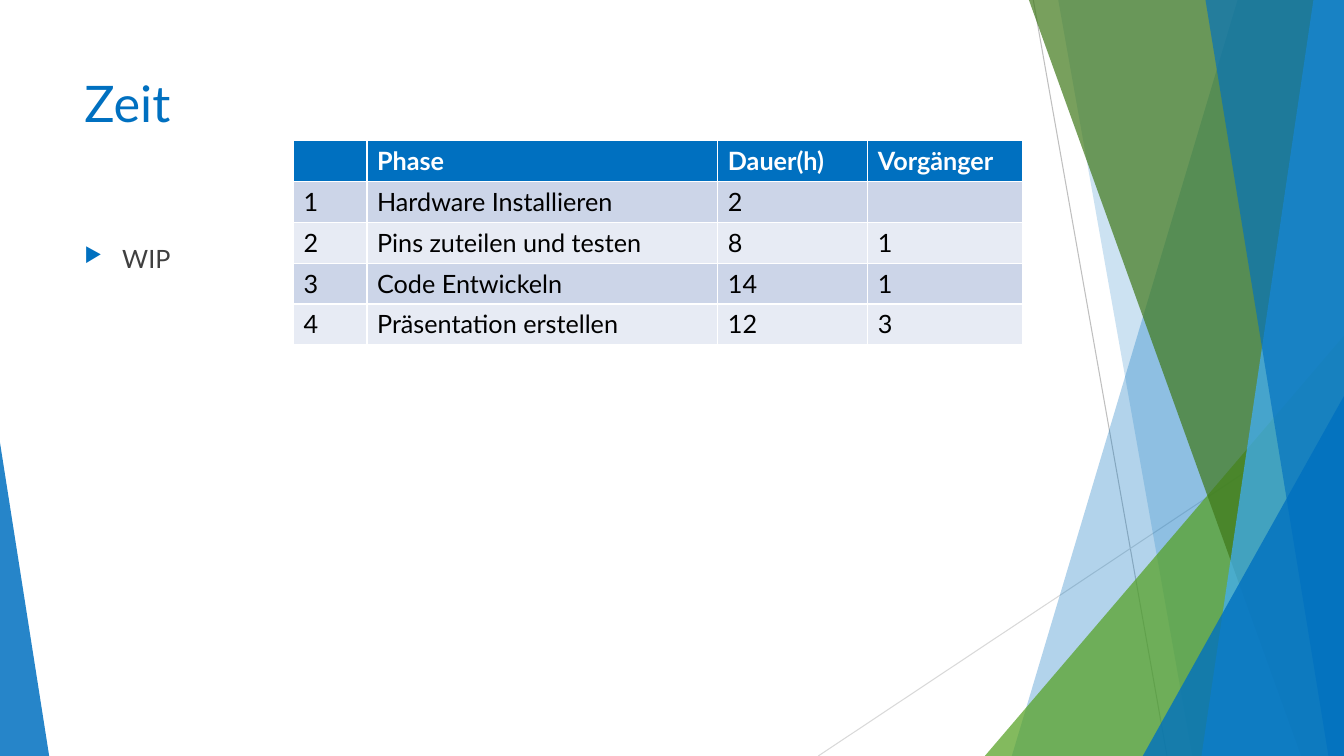
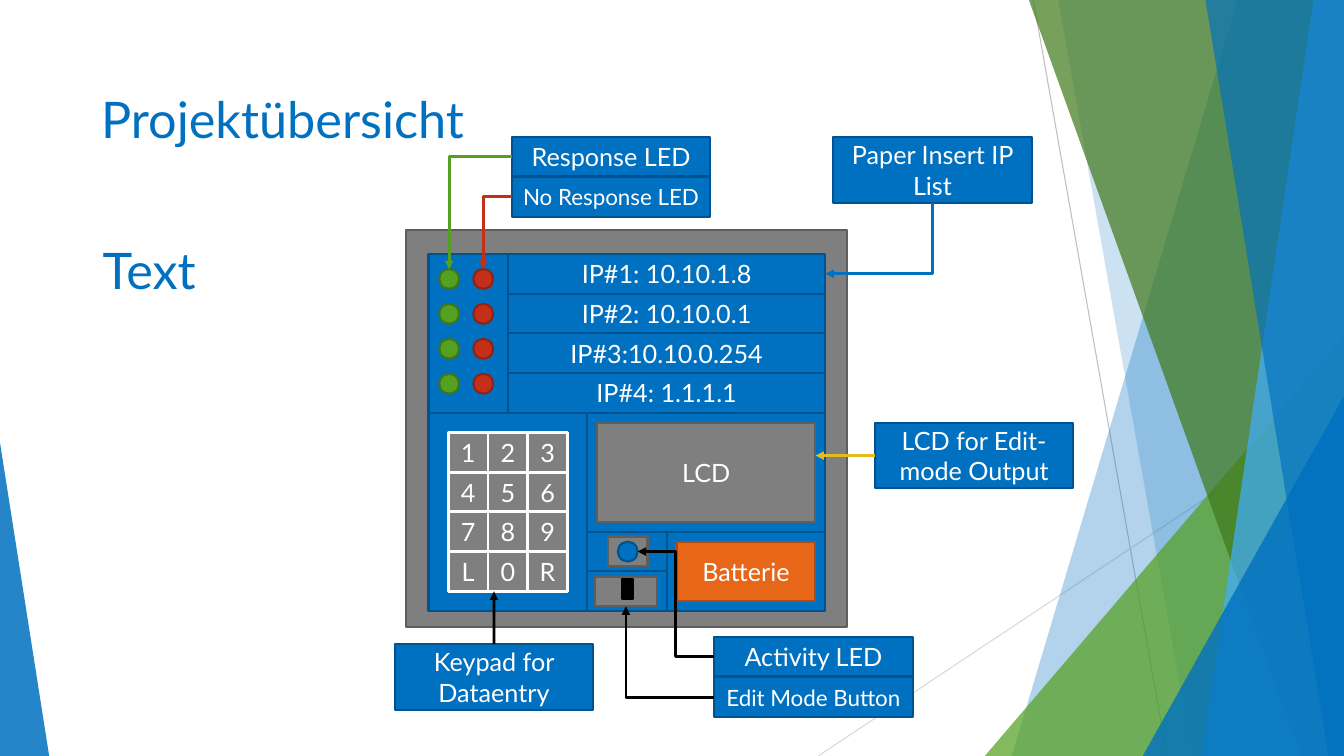
import dataclasses

import lxml.etree
import pptx
import pptx.dml.color
import pptx.enum.shapes
import pptx.enum.text
import pptx.oxml.ns
import pptx.util

Cm = pptx.util.Cm
Pt = pptx.util.Pt
qn = pptx.oxml.ns.qn
RGB = pptx.dml.color.RGBColor.from_string
SHAPE = pptx.enum.shapes.MSO_SHAPE
CONNECTOR = pptx.enum.shapes.MSO_CONNECTOR
ALIGN = pptx.enum.text.PP_ALIGN
ANCHOR = pptx.enum.text.MSO_ANCHOR


@dataclasses.dataclass(frozen=True)
class Theme:
    font: str = "Lato"
    title_size: int = 36
    text_size: int = 18
    small_size: int = 16
    outline: float = 1.5
    thick: float = 2
    blue: str = "0070C0"
    blue_edge: str = "00538E"
    sky: str = "40AFFF"
    green: str = "54A021"
    green_edge: str = "3E7618"
    dark_green: str = "3F7819"
    red: str = "C42F1A"
    red_edge: str = "912313"
    orange: str = "E76618"
    orange_edge: str = "AB4B12"
    yellow: str = "E6B91E"
    grey: str = "7F7F7F"
    grey_edge: str = "5E5E5E"
    hairline: str = "BFBFBF"
    pale_hairline: str = "D9D9D9"
    body: str = "404040"
    black: str = "000000"
    white: str = "FFFFFF"
    row_odd: str = "CCD5E8"
    row_even: str = "E7EBF4"


theme = Theme()
WIDTH, HEIGHT = 33.87, 19.05


def write(frame, text, size=theme.text_size, color=theme.white, bold=False,
          align=ALIGN.LEFT, anchor=ANCHOR.TOP):
    frame.word_wrap = True
    frame.vertical_anchor = anchor
    paragraph = frame.paragraphs[0]
    paragraph.alignment = align
    run = paragraph.add_run()
    run.text = text
    run.font.name = theme.font
    run.font.size = Pt(size)
    run.font.bold = bold
    run.font.color.rgb = RGB(color)


def part(left, top, width, height, text="", kind=SHAPE.RECTANGLE, fill=theme.blue,
         edge=theme.blue_edge, outline=theme.outline, size=theme.text_size):
    """Draw one filled part of the overview, with centred text if any."""
    shape = overview.shapes.add_shape(kind, Cm(left), Cm(top), Cm(width), Cm(height))
    shape.shadow.inherit = False
    shape.fill.solid()
    shape.fill.fore_color.rgb = RGB(fill)
    shape.line.color.rgb = RGB(edge)
    shape.line.width = Pt(outline)
    if text:
        write(shape.text_frame, text, size=size, align=ALIGN.CENTER, anchor=ANCHOR.MIDDLE)
    return shape


deck = pptx.Presentation()
deck.slide_width, deck.slide_height = Cm(WIDTH), Cm(HEIGHT)
blank = deck.slide_layouts[6]
schedule = deck.slides.add_slide(blank)
overview = deck.slides.add_slide(blank)

# Backdrop: drawn once, then moved to the layout that both slides share
backdrop = []
for start, end, color in [
    ((26.04, 0), (29.41, HEIGHT), theme.hairline),
    ((WIDTH, 10.24), (20.62, HEIGHT), theme.pale_hairline),
]:
    hairline = schedule.shapes.add_connector(
        CONNECTOR.STRAIGHT, *[Cm(value) for value in start + end])
    hairline.line.color.rgb = RGB(color)
    hairline.line.width = Pt(0.75)
    lxml.etree.SubElement(hairline.element.spPr, qn("a:effectLst"))
    backdrop.append(hairline)

# Bands reach the right edge: (x at top, x at bottom)
# Triangles stand on the bottom edge: (left, right, top, apex)
for outline, color, opacity in [
    ((31.19, 25.5), theme.blue, 30),
    ((26.67, 30.05), theme.blue, 20),
    ((24.82, WIDTH, 8.46, 1), theme.green, 72),
    ((25.93, 32.79), theme.dark_green, 70),
    ((33.1, 30.28), theme.sky, 70),
    ((30.38, 33.48), theme.blue, 65),
    ((28.8, WIDTH, 9.98, 1), theme.blue, 80),
    ((0, 1.24, 11.15, 0), theme.blue, 85),
]:
    if len(outline) == 2:
        x_top, x_bottom = outline
        builder = schedule.shapes.build_freeform(Cm(x_top), 0)
        builder.add_line_segments([(Cm(WIDTH), 0), (Cm(WIDTH), Cm(HEIGHT)),
                                   (Cm(x_bottom), Cm(HEIGHT))])
        facet = builder.convert_to_shape()
    else:
        left, right, top, apex = outline
        facet = schedule.shapes.add_shape(SHAPE.ISOSCELES_TRIANGLE, Cm(left), Cm(top),
                                          Cm(right - left), Cm(HEIGHT - top))
        facet.adjustments[0] = apex
    facet.shadow.inherit = False
    facet.line.fill.background()
    facet.fill.solid()
    facet.fill.fore_color.rgb = RGB(color)
    tint = facet.element.spPr.find(qn("a:solidFill"))[0]
    lxml.etree.SubElement(tint, qn("a:alpha"), val=str(opacity * 1000))
    backdrop.append(facet)

for piece in backdrop:
    blank.shapes.element.append(piece.element)

# Titles
for slide, text, left, top, width, height in [
    (schedule, "Zeit", 1.88, 1.7, 23.88, 3.66),
    (overview, "Text", 2.34, 5.9, 7.5, 12),
    (overview, "Projektübersicht", 2.3, 2.1, 23.88, 3.66),
]:
    title = slide.shapes.add_textbox(Cm(left), Cm(top), Cm(width), Cm(height))
    write(title.text_frame, text, size=theme.title_size, color=theme.blue)

# Schedule: bullet and table
status = schedule.shapes.add_textbox(Cm(1.88), Cm(6), Cm(5.5), Cm(10.77))
write(status.text_frame, "WIP", color=theme.body)
bullet = status.text_frame.paragraphs[0]._p.get_or_add_pPr()
bullet.set("marL", str(Cm(0.95)))
bullet.set("indent", str(-Cm(0.95)))
bullet_color = lxml.etree.SubElement(bullet, qn("a:buClr"))
lxml.etree.SubElement(bullet_color, qn("a:srgbClr"), val=theme.blue)
lxml.etree.SubElement(bullet, qn("a:buSzPct"), val="80000")
lxml.etree.SubElement(bullet, qn("a:buChar"), char="▶")

phases = [
    ("", "Phase", "Dauer(h)", "Vorgänger"),
    ("1", "Hardware Installieren", "2", ""),
    ("2", "Pins zuteilen und testen", "8", "1"),
    ("3", "Code Entwickeln", "14", "1"),
    ("4", "Präsentation erstellen", "12", "3"),
]
column_widths = [1.85, 8.84, 3.78, 3.89]
row_height = 1.03
plan = schedule.shapes.add_table(
    len(phases), len(column_widths), Cm(7.4), Cm(3.54),
    Cm(sum(column_widths)), Cm(row_height * len(phases))).table
for column, width in zip(plan.columns, column_widths):
    column.width = Cm(width)
for row, values in enumerate(phases):
    plan.rows[row].height = Cm(row_height)
    header = row == 0
    fill = theme.blue if header else theme.row_odd if row % 2 else theme.row_even
    for column, value in enumerate(values):
        cell = plan.cell(row, column)
        cell.fill.solid()
        cell.fill.fore_color.rgb = RGB(fill)
        if value:
            write(cell.text_frame, value, bold=header,
                  color=theme.white if header else theme.black)

# Overview: the device, measured from the corner of its front panel
X, Y = 10.8, 6.4
grey = {"fill": theme.grey, "edge": theme.grey_edge}
part(10.24, 5.8, 11.1, 10, **grey)

part(X, Y, 2, 4)
lamps = []
for column, (fill, edge) in enumerate([(theme.green, theme.green_edge),
                                       (theme.red, theme.red_edge)]):
    for row in range(4):
        lamps.append(part(X + 0.27 + 0.86 * column, Y + 0.38 + 0.88 * row, 0.5, 0.5,
                          kind=SHAPE.OVAL, fill=fill, edge=edge))
response_lamp, no_response_lamp = lamps[0], lamps[4]

addresses = ["IP#1: 10.10.1.8", "IP#2: 10.10.0.1", "IP#3:10.10.0.254", "IP#4: 1.1.1.1"]
address_rows = [part(X + 2, Y + row, 8, 1, address)
                for row, address in enumerate(addresses)]

part(X, Y + 4, 4, 5)
for index, key in enumerate("123456789L0R"):
    row, column = divmod(index, 3)
    part(X + 0.5 + column, Y + 4.5 + row, 1, 1, key,
         fill=theme.grey, edge=theme.white, outline=theme.thick)

part(X + 4, Y + 4, 6, 3)
part(X + 4.25, Y + 4.25, 5.5, 2.5, "LCD", **grey)
part(X + 6, Y + 7, 4, 2)
part(X + 6.25, Y + 7.25, 3.5, 1.5, "Batterie", fill=theme.orange, edge=theme.orange_edge)
part(X + 4, Y + 7, 2, 1)
part(X + 4, Y + 8, 2, 1)
part(X + 4.52, Y + 7.12, 1, 0.75, **grey)
part(X + 4.77, Y + 7.25, 0.5, 0.5, kind=SHAPE.OVAL)
edit_button = part(X + 4.2, Y + 8.13, 1.55, 0.75, **grey)
part(X + 4.88, Y + 8.2, 0.28, 0.5, fill=theme.black, edge=theme.black)

# Labels around the device
label_width, low, tall = 5, 1, 1.66
response = part(12.9, 3.45, label_width, low, "Response LED")
no_response = part(12.9, 4.46, label_width, low, "No Response LED", size=theme.small_size)
paper = part(21, 3.45, label_width, tall, "Paper Insert IP List")
lcd_output = part(22.05, 10.65, label_width, tall, "LCD for Edit- mode Output")
keypad = part(9.95, 16.23, label_width, tall, "Keypad for Dataentry")
activity = part(18, 16.05, label_width, low, "Activity LED")
edit_mode = part(18, 17.07, label_width, low, "Edit Mode Button", size=theme.small_size)

# Arrows: an end is a point or a shape with its connection site
TOP, LEFT, BOTTOM, RIGHT = range(4)
for preset, begin, end, arrowhead, color in [
    ("bentConnector2", (no_response, LEFT), (no_response_lamp, TOP), "a:tailEnd", theme.red),
    ("bentConnector2", (response, LEFT), (response_lamp, TOP), "a:tailEnd", theme.green),
    ("bentConnector2", (address_rows[0], RIGHT), (paper, BOTTOM), "a:headEnd", theme.blue),
    ("line", (lcd_output, LEFT), (X + 9.75, 11.48), "a:tailEnd", theme.yellow),
    ("bentConnector3", (activity, LEFT), (X + 5.27, Y + 7.5), "a:tailEnd", theme.black),
    ("bentConnector2", (edit_mode, LEFT), (edit_button, BOTTOM), "a:tailEnd", theme.black),
    ("line", (keypad, TOP), (12.45, 14.9), "a:tailEnd", theme.black),
]:
    at_point = isinstance(end[0], float)
    tip = [Cm(value) for value in end] if at_point else (0, 0)
    kind = CONNECTOR.STRAIGHT if preset == "line" else CONNECTOR.ELBOW
    arrow = overview.shapes.add_connector(kind, 0, 0, *tip)
    arrow.begin_connect(*begin)
    if not at_point:
        arrow.end_connect(*end)
    arrow.element.spPr.find(qn("a:prstGeom")).set("prst", preset)
    arrow.line.color.rgb = RGB(color)
    arrow.line.width = Pt(theme.thick)
    lxml.etree.SubElement(arrow.line._get_or_add_ln(), qn(arrowhead), type="triangle")
    lxml.etree.SubElement(arrow.element.spPr, qn("a:effectLst"))

deck.save("out.pptx")
